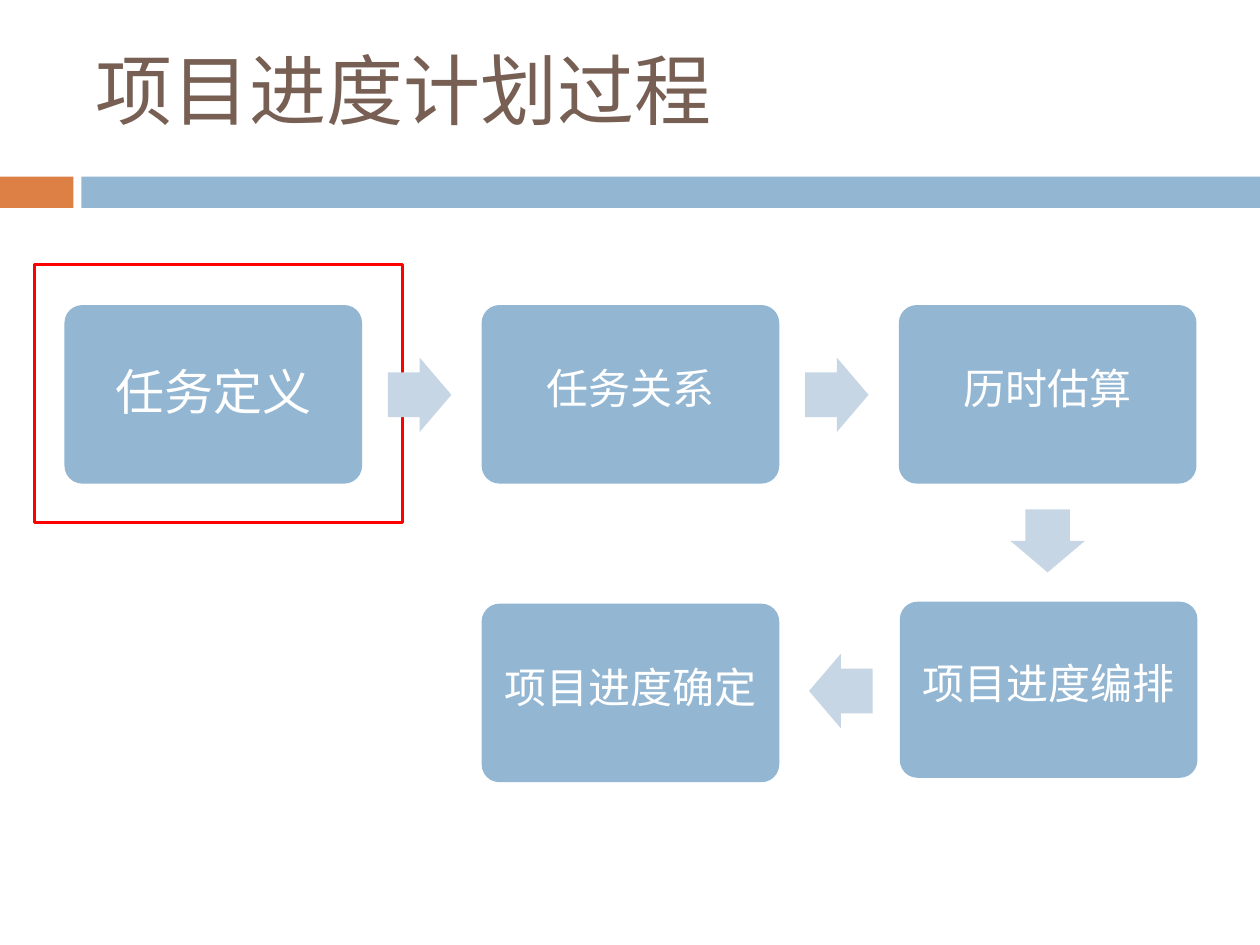
from dataclasses import dataclass

from lxml import etree
from pptx import Presentation
from pptx import util as u
from pptx.dml.color import RGBColor
from pptx.enum import shapes, text
from pptx.oxml.ns import qn

FONT = "Noto Sans CJK SC"
COLORS = {
    "title": "775F54",
    "accent": "DD8046",
    "step": "93B6D2",
    "arrow": "C7D6E4",
    "highlight": "FF0000",
    "label": "FFFFFF",
}
KIND = shapes.MSO_SHAPE
COLUMNS = [1.3 + 8.41 * column for column in range(3)]
STEP_WIDTH = 6
TOP_ROW, BOTTOM_ROW = 6.15, 12.17


@dataclass
class Area:
    left: float
    top: float
    width: float
    height: float

    def lengths(self) -> list[u.Cm]:
        return [u.Cm(v) for v in (self.left, self.top, self.width, self.height)]


@dataclass
class Step:
    label: str
    area: Area
    size: int = 24
    lift: float = 0.27


@dataclass
class Arrow:
    kind: shapes.MSO_SHAPE
    area: Area


def color(key: str) -> RGBColor:
    return RGBColor.from_string(COLORS[key])


def add_block(slide, kind, area: Area, fill: str):
    block = slide.shapes.add_shape(kind, *area.lengths())
    block.shadow.inherit = False
    block.fill.solid()
    block.fill.fore_color.rgb = color(fill)
    block.line.fill.background()
    return block


def write(frame, wording: str, size: int, ink: str, align, lift: float) -> None:
    frame.margin_left = frame.margin_right = frame.margin_top = 0
    frame.margin_bottom = u.Cm(lift)
    frame.word_wrap = True
    frame.auto_size = text.MSO_AUTO_SIZE.NONE
    frame.vertical_anchor = text.MSO_ANCHOR.MIDDLE
    paragraph = frame.paragraphs[0]
    paragraph.text = wording
    paragraph.alignment = align
    paragraph.line_spacing = 1.0
    paragraph.space_before = u.Pt(0)
    font = paragraph.font
    font.size = u.Pt(size)
    font.color.rgb = color(ink)
    font.name = FONT
    defaults = paragraph._p.pPr.find(qn("a:defRPr"))
    etree.SubElement(defaults, qn("a:ea"), typeface=FONT)


def add_step(slide, step: Step) -> None:
    box = add_block(slide, KIND.ROUNDED_RECTANGLE, step.area, "step")
    box.adjustments[0] = 0.1
    write(box.text_frame, step.label, step.size, "label",
          text.PP_ALIGN.CENTER, step.lift)


def add_arrow(slide, arrow: Arrow) -> None:
    block = add_block(slide, arrow.kind, arrow.area, "arrow")
    block.adjustments[0] = 0.6
    block.adjustments[1] = 0.5


def add_highlight(slide, area: Area) -> None:
    frame = add_block(slide, KIND.RECTANGLE, area, "highlight")
    frame.fill.background()
    frame.line.color.rgb = color("highlight")
    frame.line.width = u.Pt(1.56)


def main() -> None:
    deck = Presentation()
    deck.slide_width, deck.slide_height = u.Cm(25.4), u.Cm(19.05)
    slide = deck.slides.add_slide(deck.slide_layouts[5])

    title = slide.shapes.title
    title.left, title.top, title.width, title.height = Area(
        1.93, 0.86, 12.6, 1.93).lengths()
    write(title.text_frame, "项目进度计划过程", 44, "title",
          text.PP_ALIGN.LEFT, 0.07)

    add_block(slide, KIND.RECTANGLE, Area(0, 3.56, 1.48, 0.63), "accent")
    add_block(slide, KIND.RECTANGLE, Area(1.64, 3.56, 23.76, 0.63), "step")

    first, second, third = COLUMNS
    steps = [
        Step("任务定义", Area(first, TOP_ROW, STEP_WIDTH, 3.6), 28, 0.13),
        Step("任务关系", Area(second, TOP_ROW, STEP_WIDTH, 3.6)),
        Step("历时估算", Area(third, TOP_ROW, STEP_WIDTH, 3.6)),
        Step("项目进度编排", Area(18.14, 12.13, STEP_WIDTH, 3.55)),
        Step("项目进度确定", Area(second, BOTTOM_ROW, STEP_WIDTH, 3.6)),
    ]
    for step in steps:
        add_step(slide, step)

    add_highlight(slide, Area(0.7, 5.33, 7.42, 5.2))

    arrows = [
        Arrow(KIND.RIGHT_ARROW, Area(7.82, 7.21, 1.28, 1.5)),
        Arrow(KIND.RIGHT_ARROW, Area(16.23, 7.21, 1.28, 1.5)),
        Arrow(KIND.DOWN_ARROW, Area(20.37, 10.27, 1.5, 1.27)),
        Arrow(KIND.LEFT_ARROW, Area(16.31, 13.18, 1.28, 1.5)),
    ]
    for arrow in arrows:
        add_arrow(slide, arrow)

    deck.save("out.pptx")


if __name__ == "__main__":
    main()
